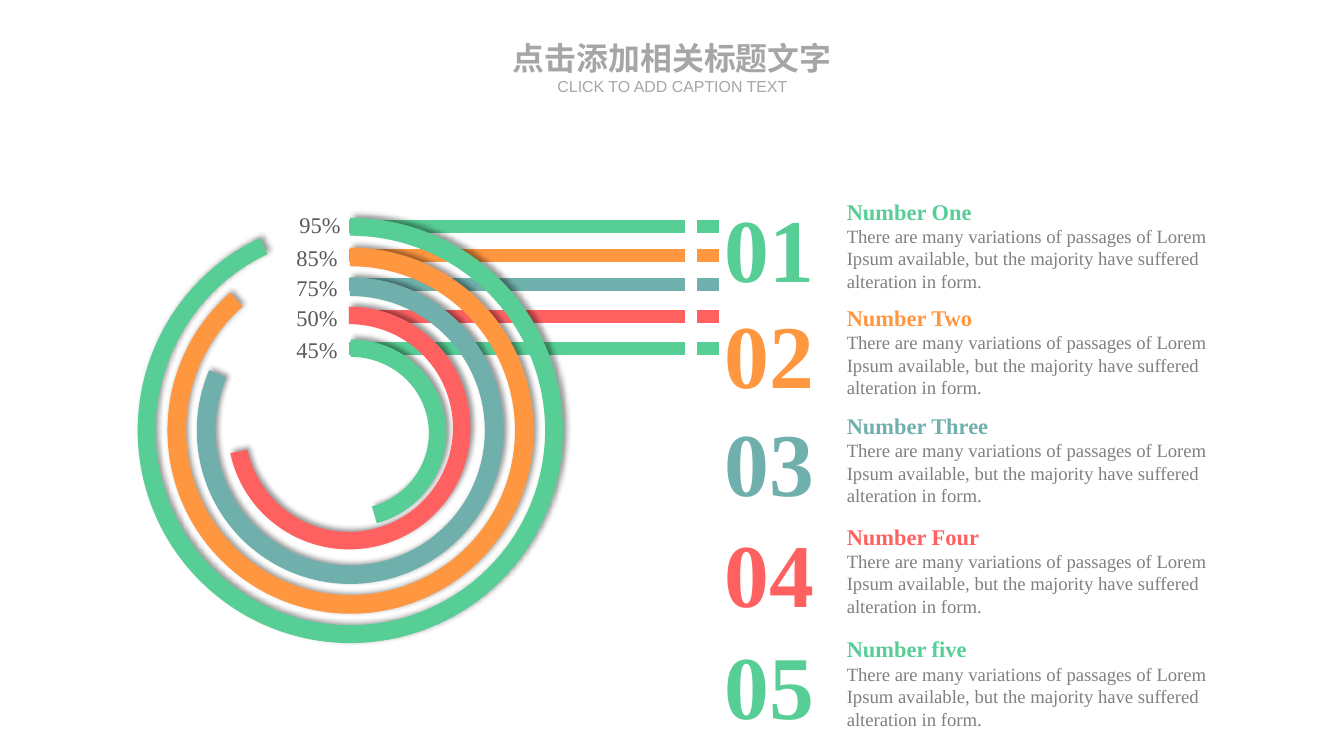
from collections import namedtuple

from lxml import etree
from pptx import Presentation
from pptx.dml.color import RGBColor
from pptx.enum import shapes, text
from pptx.oxml import ns
from pptx.util import Cm, Pt

GREEN = RGBColor(0x57, 0xCE, 0x95)
ORANGE = RGBColor(0xFF, 0x97, 0x40)
TEAL = RGBColor(0x6F, 0xB0, 0xAD)
RED = RGBColor(0xFF, 0x61, 0x61)
DARK_GRAY = RGBColor(0x59, 0x59, 0x59)
GRAY = RGBColor(0x80, 0x80, 0x80)
LIGHT_GRAY = RGBColor(0xA6, 0xA6, 0xA6)

SERIF = "Times New Roman"
BODY = ("There are many variations of passages of Lorem Ipsum available, "
        "but the majority have suffered alteration in form.")
ARC_START = 270.1  # degrees, the top of every ring

# Lengths in cm, angles in degrees; ring is (left, top, width, height)
Item = namedtuple("Item", "heading color percent label_left label_top line_y "
                          "ring end_angle thickness text_top")
ITEMS = [
    Item("Number One", GREEN, "95%", 7.7, 5.49, 6.02,
         (3.66, 5.79, 11.3, 11.3), 295.14, 0.042, 5.26),
    Item("Number Two", ORANGE, "85%", 7.62, 6.35, 6.8,
         (4.45, 6.58, 9.73, 9.73), 311.03, 0.051, 8.08),
    Item("Number Three", TEAL, "75%", 7.62, 7.16, 7.57,
         (5.23, 7.37, 8.15, 8.15), 336.8, 0.061, 10.95),
    Item("Number Four", RED, "50%", 7.62, 7.95, 8.4,
         (6.05, 8.15, 6.45, 6.45), 11.96, 0.072, 13.89),
    Item("Number five", GREEN, "45%", 7.62, 8.81, 9.26,
         (6.78, 9.02, 5.08, 4.98), 106.14, 0.093, 16.89),
]


def place(sp, left, top, width, height):
    sp.left, sp.top, sp.width, sp.height = map(Cm, (left, top, width, height))


def write(sp, words, *, size, color, font=SERIF, bold=False,
          align=text.PP_ALIGN.LEFT, anchor=text.MSO_ANCHOR.MIDDLE,
          inset=0, wrap=True):
    tf = sp.text_frame
    tf.auto_size = text.MSO_AUTO_SIZE.NONE
    tf.word_wrap = wrap
    tf.vertical_anchor = anchor
    tf.margin_left = tf.margin_right = Cm(inset)
    tf.margin_top = tf.margin_bottom = 0
    p = tf.paragraphs[0]
    p.alignment = align
    p.space_before = Pt(0)
    r = p.add_run()
    r.text = words
    r.font.name, r.font.size, r.font.bold = font, Pt(size), bold
    r.font.color.rgb = color


def add_text(slide, box, words, **style):
    write(slide.shapes.add_textbox(*map(Cm, box)), words, **style)


def add_line(slide, x1, x2, y, color):
    line = slide.shapes.add_connector(
        shapes.MSO_CONNECTOR.STRAIGHT, Cm(x1), Cm(y), Cm(x2), Cm(y))
    line.line.color.rgb = color
    line.line.width = Pt(9.75)
    etree.SubElement(line._element.spPr, ns.qn("a:effectLst"))


def add_shadow(sp):
    """Give the shape a soft shadow towards the upper right."""
    sp.shadow.inherit = False
    effects = sp._element.spPr.find(ns.qn("a:effectLst"))
    shadow = etree.SubElement(
        effects, ns.qn("a:outerShdw"), blurRad=str(Pt(4)), dist=str(Pt(3)),
        dir=str(315 * 60000), algn="bl", rotWithShape="0")
    black = etree.SubElement(shadow, ns.qn("a:srgbClr"), val="000000")
    etree.SubElement(black, ns.qn("a:alpha"), val="40000")


def add_ring(slide, item):
    """Draw a block arc that runs clockwise from the top."""
    sp = slide.shapes.add_shape(
        shapes.MSO_SHAPE.BLOCK_ARC, *map(Cm, item.ring))
    # Adjustments count 100000ths, angles are stored in 60000ths of a degree
    sp.adjustments[0] = item.end_angle * 0.6
    sp.adjustments[1] = ARC_START * 0.6
    sp.adjustments[2] = item.thickness
    sp._element.spPr.xfrm.set("flipH", "1")
    sp.fill.solid()
    sp.fill.fore_color.rgb = item.color
    sp.line.fill.background()
    add_shadow(sp)


def add_entry(slide, number, item):
    """Write the large number, the heading and the text of one item."""
    top = item.text_top
    add_text(slide, (22.5, top, 10.13, 0.71), item.heading,
             size=16.9, color=item.color, bold=True)
    add_text(slide, (22.5, top + 0.71, 10.13, 1.8), BODY,
             size=14.1, color=GRAY)
    add_text(slide, (19.23, top - 0.18, 2.41, 2.9), f"{number:02}",
             size=67.5, color=item.color, bold=True, wrap=False,
             align=text.PP_ALIGN.CENTER, anchor=text.MSO_ANCHOR.BOTTOM)


def add_titles(slide):
    title, caption = slide.placeholders
    style = dict(color=LIGHT_GRAY, font="Arial",
                 align=text.PP_ALIGN.CENTER, anchor=text.MSO_ANCHOR.TOP)
    place(title, 13.39, 1.02, 8.94, 1.02)
    write(title, "点击添加相关标题文字", size=24, bold=True, **style)
    place(caption, 14.2, 2.03, 7.34, 0.51)
    write(caption, "CLICK TO ADD CAPTION TEXT", size=12, **style)


def main():
    prs = Presentation()
    prs.slide_width, prs.slide_height = Cm(35.71), Cm(20.09)
    slide = prs.slides.add_slide(prs.slide_layouts[0])
    add_titles(slide)

    inner_first = ITEMS[::-1]
    for item in inner_first:
        add_line(slide, 9.28, 18.21, item.line_y, item.color)
    for item in inner_first:
        add_ring(slide, item)
    for number, item in enumerate(ITEMS, 1):
        add_text(slide, (item.label_left, item.label_top, 1.6, 0.97),
                 item.percent, size=16.9, color=DARK_GRAY, inset=0.25,
                 align=text.PP_ALIGN.RIGHT, wrap=False)
        add_line(slide, 18.52, 19.1, item.line_y, item.color)
        add_entry(slide, number, item)
    prs.save("out.pptx")


if __name__ == "__main__":
    main()
